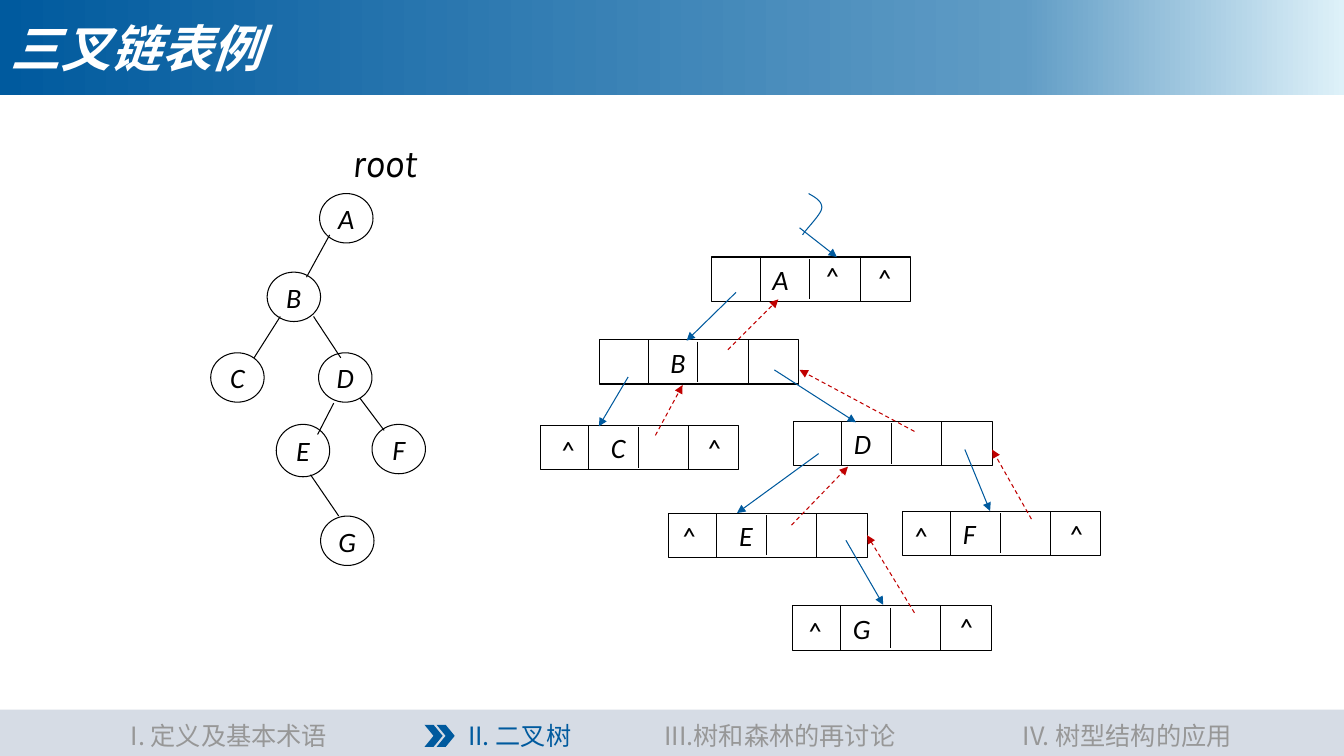
from pptx import Presentation
from pptx.util import Inches, Pt
from pptx.dml.color import RGBColor
from pptx.enum.dml import MSO_LINE
from pptx.enum.shapes import MSO_SHAPE as Preset, MSO_CONNECTOR as Link
from pptx.enum.text import MSO_ANCHOR as Anchor, MSO_AUTO_SIZE as AutoSize, PP_ALIGN as Align
from pptx.oxml.ns import qn
from lxml.etree import SubElement
from copy import deepcopy

BLACK = RGBColor(0x00, 0x00, 0x00)
WHITE = RGBColor(0xFF, 0xFF, 0xFF)
BLUE = RGBColor(0x00, 0x5A, 0x9E)
MID_BLUE = RGBColor(0x60, 0x9C, 0xC5)
PALE_BLUE = RGBColor(0xDE, 0xF1, 0xF9)
RED = RGBColor(0xC0, 0x00, 0x00)
GREY = RGBColor(0x97, 0x97, 0x97)
BAND = RGBColor(0xD6, 0xDC, 0xE5)
LATIN, ROOT_FONT, CJK = "Calibri", "Karla", "Noto Sans CJK SC"

TREE_NODES = [("A", 3.17, 1.92, 0.49), ("B", 2.65, 2.7, 0.49), ("C", 2.09, 3.5, 0.49),
              ("D", 3.16, 3.5, 0.49), ("E", 2.74, 4.21, 0.52), ("F", 3.69, 4.21, 0.49),
              ("G", 3.18, 5.12, 0.49)]
TREE_EDGES = [((3.27, 2.33), (3.04, 2.75)), ((2.78, 3.14), (2.52, 3.55)),
              ((3.11, 3.14), (3.38, 3.55)), ((3.31, 4), (3.15, 4.31)),
              ((3.57, 3.95), (3.81, 4.27)), ((3.08, 4.71), (3.36, 5.12))]
RECORDS = [("A", 7.06, 2.55, 0.6), ("B", 5.95, 3.37, 0.7), ("C", 5.36, 4.22, 0.7),
           ("D", 7.87, 4.18, 0.6), ("E", 6.63, 5.09, 0.7), ("F", 8.95, 5.07, 0.6),
           ("G", 7.86, 6.01, 0.6)]
CHILD_LINKS = [((7.3, 2.9), (6.81, 3.38)), ((6.23, 3.74), (5.94, 4.23)),
               ((8.12, 4.5), (7.31, 5.09)), ((7.68, 3.67), (8.49, 4.19)),
               ((9.57, 4.46), (9.82, 5.07)), ((8.39, 5.36), (8.76, 6)),
               ((7.93, 2.26), (8.3, 2.55))]
PARENT_LINKS = [((7.22, 3.47), (7.72, 2.97)), ((6.5, 4.32), (6.77, 3.82)),
                ((9.07, 4.28), (7.93, 3.67)), ((7.85, 5.21), (8.41, 4.63)),
                ((10.23, 5.15), (9.84, 4.46))]
NULLS = [(8.6, 2.54), (5.46, 4.25), (6.91, 4.23), (6.66, 5.1), (8.96, 5.1),
         (10.5, 5.08), (7.91, 6.04), (9.41, 6), (8.08, 2.52)]
ROOT_CURVE = [[(8.02, 1.92), (8.09, 1.96), (8.16, 2), (8.15, 2.07)],
              [(8.15, 2.07), (8.14, 2.13), (7.99, 2.28), (7.96, 2.33)]]
CHAPTERS = [("III.树和森林的再讨论", 6.28, 2.91, GREY), ("IV. 树型结构的应用", 9.96, 2.44, GREY),
            ("I. 定义及基本术语", 0.43, 3.68, GREY), ("II. 二叉树", 4.04, 2.23, BLUE)]


def bezier(points, t):
    """Return the point of a cubic curve at t."""
    weights = ((1 - t) ** 3, 3 * t * (1 - t) ** 2, 3 * t * t * (1 - t), t ** 3)
    return tuple(Inches(sum(w * p[axis] for w, p in zip(weights, points))) for axis in (0, 1))


class SlideBuilder:
    """Draws styled elements on the current slide."""

    def __init__(self, slide):
        self.slide = slide
        self.shapes = slide.shapes
        self.thin = Pt(0.75)

    def set_text(self, shape, text, size, font, color, align=Align.CENTER, italic=False,
                 bold=False, wrap=False, anchor=Anchor.MIDDLE):
        frame = shape.text_frame
        frame.word_wrap = wrap
        frame.auto_size = AutoSize.NONE
        frame.vertical_anchor = anchor
        paragraph = frame.paragraphs[0]
        paragraph.alignment = align
        run = paragraph.add_run()
        run.text = text
        run.font.size = Pt(size)
        run.font.name = font
        run.font.bold = bold
        run.font.italic = italic
        run.font.color.rgb = color
        if font == CJK:
            SubElement(run._r.get_or_add_rPr(), qn("a:ea"), typeface=font)
        return paragraph

    def place(self, shape, left, top, width, height):
        shape.left, shape.top = Inches(left), Inches(top)
        shape.width, shape.height = Inches(width), Inches(height)

    def title(self, text):
        banner = self.shapes.title
        self.place(banner, 0, 0, 13.33, 0.94)
        banner.fill.gradient()
        banner.fill.gradient_angle = 0
        stop_list = banner._element.spPr.find(".//" + qn("a:gsLst"))
        stop_list.append(deepcopy(stop_list[-1]))
        shades = ((0, BLUE), (0.76, MID_BLUE), (1, PALE_BLUE))
        for stop, (position, color) in zip(banner.fill.gradient_stops, shades):
            stop.position = position
            stop.color.rgb = color
        self.set_text(banner, text, 36, CJK, WHITE, Align.LEFT, italic=True, bold=True, wrap=True)

    def body(self, text):
        root = self.slide.placeholders[1]
        self.place(root, 3.39, 1.37, 1.2, 0.55)
        paragraph = self.set_text(root, text, 28, ROOT_FONT, BLACK, Align.LEFT, italic=True,
                                  anchor=Anchor.TOP)
        properties = paragraph._p.get_or_add_pPr()
        properties.set("marL", "0")
        properties.set("indent", "0")
        SubElement(properties, qn("a:buNone"))
        paragraph.line_spacing = 0.9
        paragraph.space_before = Pt(0)

    def outline(self, shape, color=BLACK):
        shape.shadow.inherit = False
        shape.fill.background()
        shape.line.color.rgb = color
        shape.line.width = self.thin

    def solid(self, preset, left, top, width, height, color):
        shape = self.shapes.add_shape(preset, *map(Inches, (left, top, width, height)))
        shape.shadow.inherit = False
        shape.fill.solid()
        shape.fill.fore_color.rgb = color
        shape.line.fill.background()

    def node(self, letter, left, top, height):
        circle = self.shapes.add_shape(Preset.OVAL, *map(Inches, (left, top, 0.53, height)))
        self.outline(circle)
        self.set_text(circle, letter, 20, LATIN, BLACK, italic=True)

    def record(self, letter, left, top, inset):
        box = self.shapes.add_shape(Preset.RECTANGLE, *map(Inches, (left, top, 1.97, 0.44)))
        self.outline(box)
        box.text_frame.margin_left = Inches(inset)
        self.set_text(box, letter, 20, LATIN, BLACK, Align.LEFT, italic=True)
        for offset, gap in ((0.48, 0), (0.97, 0.02), (1.47, 0)):
            self.line((left + offset, top + gap), (left + offset, top + 0.44 - gap))
        return box

    def line(self, start, end, color=BLACK, arrow=False, dashed=False):
        link = self.shapes.add_connector(Link.STRAIGHT, *map(Inches, (*start, *end)))
        link.line.color.rgb = color
        link.line.width = self.thin
        if dashed:
            link.line.dash_style = MSO_LINE.DASH
        if arrow:
            SubElement(link._element.spPr.find(qn("a:ln")), qn("a:tailEnd"), type="triangle")
        SubElement(link._element.spPr, qn("a:effectLst"))
        return link

    def curve(self, pieces, color):
        points = [bezier(piece, step / 12) for piece in pieces for step in range(13)]
        outline = self.shapes.build_freeform(*points[0])
        outline.add_line_segments(points[1:], close=False)
        self.outline(outline.convert_to_shape(), color)

    def label(self, text, left, top, width, height, size, font, color, **style):
        box = self.shapes.add_textbox(*map(Inches, (left, top, width, height)))
        self.set_text(box, text, size, font, color, **style)


def main():
    deck = Presentation()
    deck.slide_width, deck.slide_height = Inches(13.33), Inches(7.5)
    page = SlideBuilder(deck.slides.add_slide(deck.slide_layouts[1]))
    page.title("三叉链表例")
    page.body("root")

    for node in TREE_NODES:
        page.node(*node)
    for start, end in TREE_EDGES:
        page.line(start, end)

    records = {record[0]: page.record(*record) for record in RECORDS}
    for start, end in CHILD_LINKS:
        page.line(start, end, BLUE, arrow=True)
    for start, end in PARENT_LINKS:
        page.line(start, end, RED, arrow=True, dashed=True)
    g_to_e = page.line((9.07, 6.08), (8.6, 5.31), RED, arrow=True, dashed=True)
    g_to_e.end_connect(records["E"], 3)
    page.curve(ROOT_CURVE, BLUE)
    for left, top in NULLS:
        page.label("^", left, top, 0.34, 0.44, 20, LATIN, BLACK, italic=True)

    page.solid(Preset.RECTANGLE, 0, 7.04, 13.33, 0.46, BAND)
    for chapter, left, width, color in CHAPTERS:
        page.label(chapter, left, 7.1, width, 0.4, 18, CJK, color, wrap=True, anchor=Anchor.TOP)
    for left in (4.33, 4.21):
        page.solid(Preset.CHEVRON, left, 7.19, 0.18, 0.22, BLUE)
    deck.save("out.pptx")


if __name__ == "__main__":
    main()
